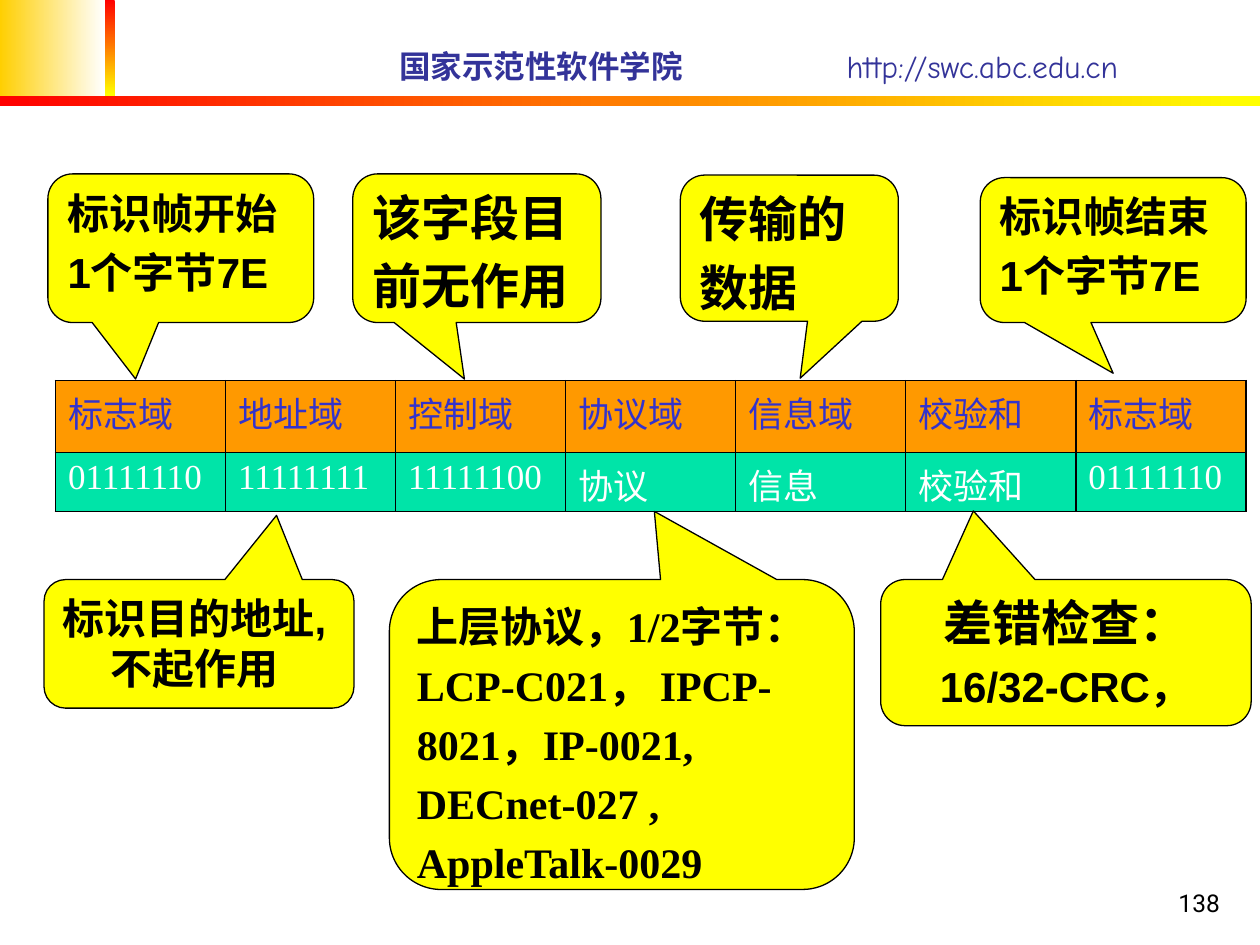
from lxml.etree import SubElement
from pptx import Presentation
from pptx.dml.color import RGBColor
from pptx.enum.shapes import MSO_SHAPE as Preset
from pptx.enum.text import MSO_ANCHOR as Anchor, PP_ALIGN as Align
from pptx.oxml.ns import qn
from pptx.util import Inches, Pt

FIELDS = [
    ("标志域", "01111110"),
    ("地址域", "11111111"),
    ("控制域", "11111100"),
    ("协议域", "协议"),
    ("信息域", "信息"),
    ("校验和", "校验和"),
    ("标志域", "01111110"),
]

CALLOUTS = [
    ((0.38, 1.38, 2.11, 1.18), (-0.17, 0.88), "Arial", Align.LEFT,
     [("标识帧开始", 24), ("1个字节7E", 24)]),
    ((2.8, 1.38, 1.97, 1.18), (-0.05, 0.88), "Arial", Align.LEFT,
     [("该字段目", 28), ("前无作用", 28)]),
    ((5.4, 1.39, 1.73, 1.16), (0.05, 0.89), "Arial", Align.LEFT,
     [("传输的", 28), ("数据", 28)]),
    ((7.78, 1.41, 2.11, 1.15), (0, 0.85), "Arial", Align.LEFT,
     [("标识帧结束", 24), ("1个字节7E", 24)]),
    ((0.35, 4.6, 2.46, 1.02), (0.25, -1), "Arial", Align.LEFT,
     [("标识目的地址,不起作用", 24)]),
    ((3.09, 4.6, 3.69, 2.46), (0.07, -0.72), "Times New Roman", Align.LEFT,
     [("上层协议，1/2字节：", 24), ("LCP-C021， IPCP-", 24),
      ("8021，IP-0021,", 24), ("DECnet-027 ,", 24), ("AppleTalk-0029", 24)]),
    ((6.99, 4.6, 2.94, 1.16), (-0.25, -0.97), "Arial", Align.CENTER,
     [("差错检查：", 28), ("16/32-CRC，", 24)]),
]


def color(value):
    return RGBColor.from_string(value)


def inches(box):
    return [Inches(length) for length in box]


def add_run(paragraph, text, size, font, value, bold=False):
    run = paragraph.add_run()
    run.text = text
    run.font.size = Pt(size)
    run.font.name = font
    run.font.bold = bold
    run.font.color.rgb = color(value)


def hang(paragraph):
    properties = paragraph._p.get_or_add_pPr()
    properties.set("marL", str(Inches(0.38)))
    properties.set("indent", str(Inches(-0.38)))


def add_gradient_bar(slide, box, start, end, angle=0):
    shape = slide.shapes.add_shape(Preset.RECTANGLE, *inches(box))
    shape.shadow.inherit = False
    shape.line.fill.background()
    shape.fill.gradient()
    shape.fill.gradient_angle = angle
    for stop, value in zip(shape.fill.gradient_stops, (start, end)):
        stop.color.rgb = color(value)


def add_label(slide, box, text, size, font, value, bold=False,
              align=Align.LEFT, anchor=Anchor.MIDDLE):
    frame = slide.shapes.add_textbox(*inches(box)).text_frame
    frame.word_wrap = True
    frame.vertical_anchor = anchor
    paragraph = frame.paragraphs[0]
    paragraph.alignment = align
    add_run(paragraph, text, size, font, value, bold)


def add_header(slide, box):
    left, top, width, height = box
    rule = 0.08
    block = height - rule
    add_gradient_bar(slide, (left, top, 0.83, block), "FFCF01", "FFFFFF")
    add_gradient_bar(slide, (left + 0.83, top, rule, block), "FF0000", "FFFF00", 270)
    add_gradient_bar(slide, (left, top + block, width, rule), "FF0000", "FFFF00")
    add_label(slide, (left + 3.07, top + 0.32, 3.2, 0.4), "国家示范性软件学院",
              18, "Comic Neue", "333399", bold=True)
    add_label(slide, (left + 6.62, top + 0.32, 3.15, 0.4), "http://swc.abc.edu.cn",
              18, "Comic Neue", "333399")


def add_border(cell):
    properties = cell._tc.get_or_add_tcPr()
    for side in ("a:lnL", "a:lnR", "a:lnT", "a:lnB"):
        line = SubElement(properties, qn(side), w=str(Pt(1)))
        fill = SubElement(line, qn("a:solidFill"))
        SubElement(fill, qn("a:srgbClr"), val="000000")


def add_frame_table(slide, box):
    table = slide.shapes.add_table(2, len(FIELDS), *inches(box)).table
    for column in table.columns:
        column.width = Inches(box[2] / len(FIELDS))
    styles = [(0.57, "FF9900", "3333CC"), (0.47, "00E4A8", "FFFFFF")]
    for row, (height, background, foreground) in enumerate(styles):
        table.rows[row].height = Inches(height)
        for column, field in enumerate(FIELDS):
            cell = table.cell(row, column)
            add_border(cell)
            cell.fill.solid()
            cell.fill.fore_color.rgb = color(background)
            paragraph = cell.text_frame.paragraphs[0]
            hang(paragraph)
            add_run(paragraph, field[row], 20, "Times New Roman", foreground)


def add_callout(slide, box, tip, font, align, lines):
    shape = slide.shapes.add_shape(Preset.ROUNDED_RECTANGULAR_CALLOUT, *inches(box))
    shape.shadow.inherit = False
    for index, value in enumerate((*tip, 0.167)):
        shape.adjustments[index] = value
    shape.fill.solid()
    shape.fill.fore_color.rgb = color("FFFF00")
    shape.line.color.rgb = color("000000")
    shape.line.width = Pt(0.75)
    frame = shape.text_frame
    frame.word_wrap = True
    frame.vertical_anchor = Anchor.TOP
    for index, (text, size) in enumerate(lines):
        paragraph = frame.add_paragraph() if index else frame.paragraphs[0]
        paragraph.alignment = align
        paragraph.space_before = Pt(0.2 * size)
        hang(paragraph)
        add_run(paragraph, text, size, font, "000000", bold=True)


def main():
    presentation = Presentation()
    presentation.slide_width = Inches(10)
    presentation.slide_height = Inches(7.5)
    slide = presentation.slides.add_slide(presentation.slide_layouts[6])
    add_header(slide, (0, 0, 10, 0.84))
    add_label(slide, (7.7, 6.83, 2.08, 0.5), "138", 14, "Roboto", "000000",
              align=Align.RIGHT, anchor=Anchor.BOTTOM)
    add_frame_table(slide, (0.44, 3.02, 9.45, 1.04))
    for callout in CALLOUTS:
        add_callout(slide, *callout)
    presentation.save("out.pptx")


if __name__ == "__main__":
    main()
